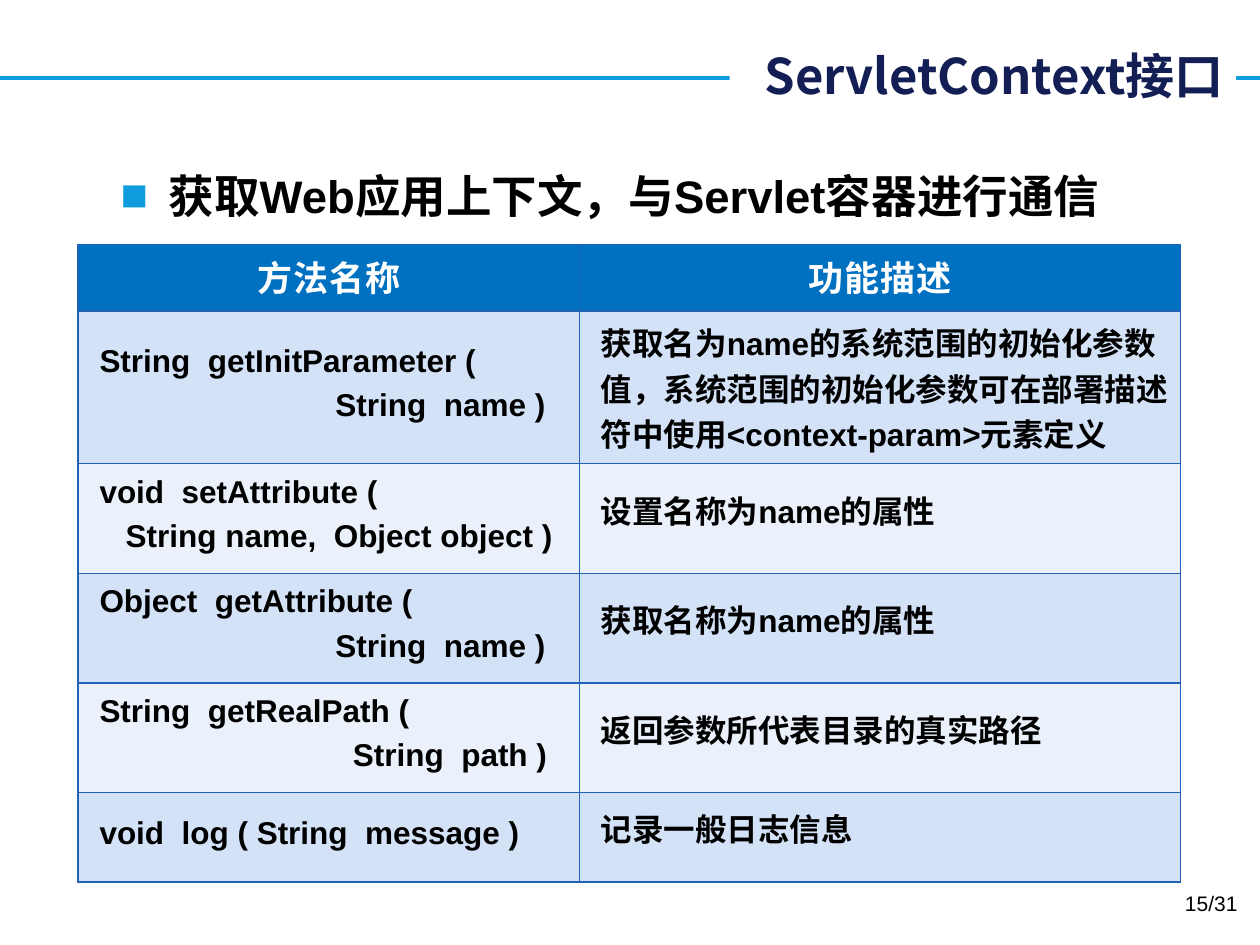
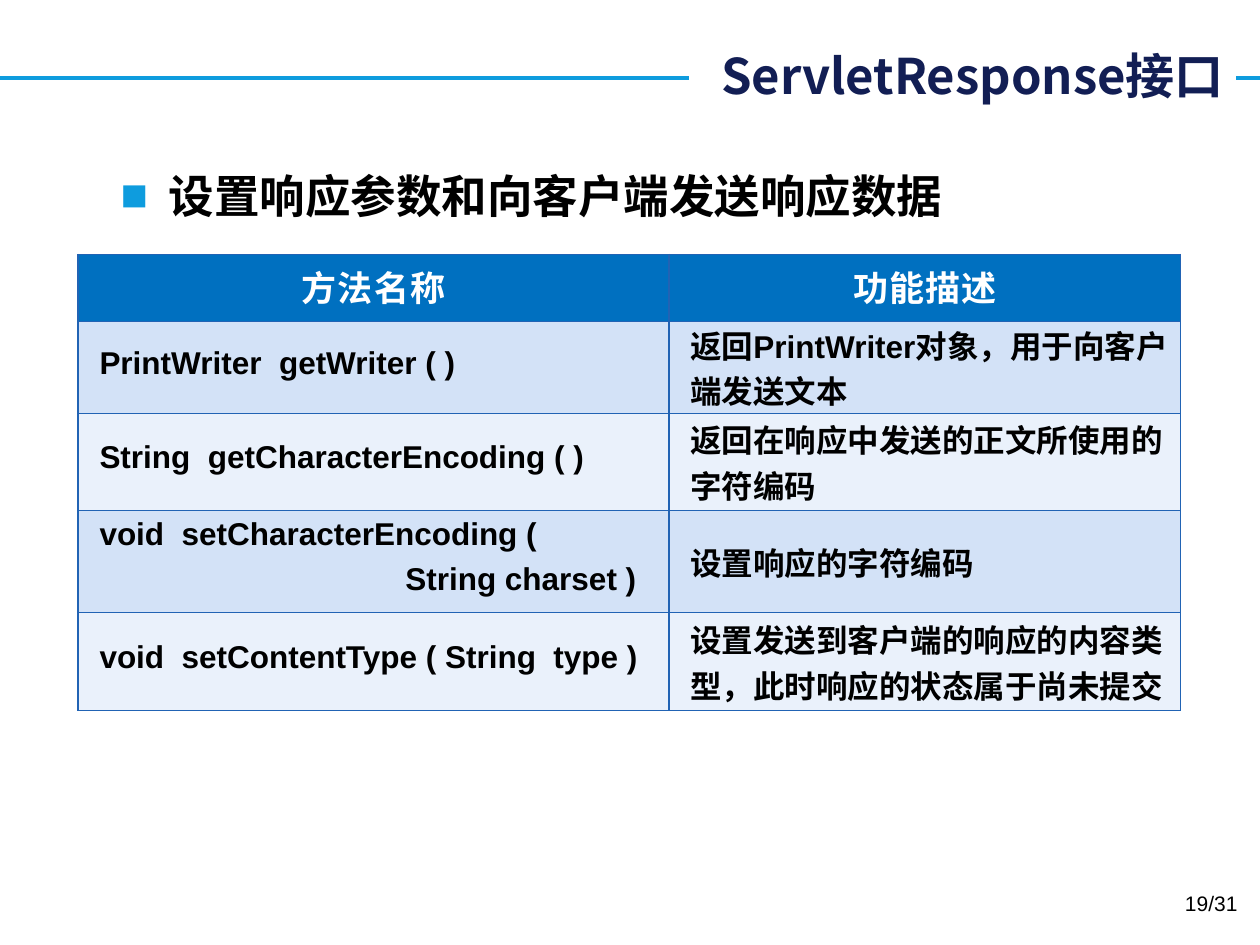
from dataclasses import dataclass
from typing import Any

import lxml.etree
import pptx
import pptx.dml.color
import pptx.enum.shapes
import pptx.enum.text
import pptx.oxml.ns
import pptx.util

SLIDE_WIDTH = pptx.util.Inches(10)
SLIDE_HEIGHT = pptx.util.Inches(7.5)
COLUMN = SLIDE_WIDTH // 100
ROW = SLIDE_HEIGHT // 75
PAGE_TOTAL = 31

COLOURS = {
    "rule": "0E9CDE",
    "title": "121E54",
    "paper": "FFFFFF",
    "ink": "000000",
    "header": "0070C0",
    "odd": "D3E2F7",
    "even": "EAF1FB",
    "border": "2163B4",
}
LATIN = "Arial"
CHINESE = "Noto Sans CJK SC"
ALIGN = pptx.enum.text.PP_ALIGN
ANCHOR = pptx.enum.text.MSO_ANCHOR


@dataclass(frozen=True)
class TextStyle:
    size: float
    colour: str
    font: str = LATIN
    bold: bool = True
    tracking: int = 0


@dataclass(frozen=True)
class Area:
    left: float
    top: float
    width: float
    height: float

    def box(self) -> tuple[int, int, int, int]:
        return (round(self.left * COLUMN), round(self.top * ROW),
                round(self.width * COLUMN), round(self.height * ROW))


@dataclass(frozen=True)
class Method:
    signature: tuple[str, ...]
    description: str
    height: float
    natural_spacing: bool = True


@dataclass(frozen=True)
class InterfacePage:
    title: str
    title_width: float
    purpose: str
    table_top: float
    column_widths: tuple[float, float]
    methods: tuple[Method, ...]
    number: int


TITLE = TextStyle(28, "title", CHINESE)
PURPOSE = TextStyle(26, "ink")
HEADER = TextStyle(20, "paper", CHINESE, tracking=60)
ENTRY = TextStyle(18, "ink")
PAGE_NUMBER = TextStyle(12, "ink", bold=False)

TITLE_RIGHT = 98.1
TABLE_LEFT = 6.2
HEADER_HEIGHT = 5.3
HEADINGS = ("方法名称", "功能描述")

HEADER_CELL = {
    "margin_left": pptx.util.Inches(0.09),
    "margin_right": pptx.util.Inches(0.09),
    "margin_top": pptx.util.Inches(0.05),
    "margin_bottom": pptx.util.Inches(0.05),
    "vertical_anchor": ANCHOR.TOP,
}
ENTRY_CELL = {
    "margin_left": pptx.util.Inches(0.17),
    "margin_right": pptx.util.Inches(0.07),
    "margin_top": 0,
    "margin_bottom": 0,
    "vertical_anchor": ANCHOR.MIDDLE,
}
CODE_SPACING = {"line_spacing": pptx.util.Pt(15.6)}
ENTRY_GAP = pptx.util.Pt(5)

PAGES = (
    InterfacePage(
        "ServletContext接口", 40.2, "获取Web应用上下文，与Servlet容器进行通信",
        19.4, (39.8, 47.7),
        (
            Method(("String  getInitParameter (",
                    "                           String  name )"),
                   "获取名为name的系统范围的初始化参数值，系统范围的初始化参数可在部署描述符中使用"
                   "<context-param>元素定义", 12.1),
            Method(("void  setAttribute (", "   String name,  Object object )"),
                   "设置名称为name的属性", 8.7, False),
            Method(("Object  getAttribute (",
                    "                           String  name )"),
                   "获取名称为name的属性", 8.7, False),
            Method(("String  getRealPath (",
                    "                             String  path )"),
                   "返回参数所代表目录的真实路径", 8.7, False),
            Method(("void  log ( String  message )",), "记录一般日志信息", 7.1, False),
        ),
        15,
    ),
    InterfacePage(
        "ServletResponse接口", 43.4, "设置响应参数和向客户端发送响应数据",
        20.2, (46.9, 40.6),
        (
            Method(("PrintWriter  getWriter ( )",),
                   "返回PrintWriter对象，用于向客户端发送文本", 7.3),
            Method(("String  getCharacterEncoding ( )",),
                   "返回在响应中发送的正文所使用的字符编码", 7.7),
            Method(("void  setCharacterEncoding (",
                    "                                   String charset )"),
                   "设置响应的字符编码", 8.1),
            Method(("void  setContentType ( String  type )",),
                   "设置发送到客户端的响应的内容类型，此时响应的状态属于尚未提交", 7.8),
        ),
        19,
    ),
)


def apply(target: Any, formats: dict[str, Any]) -> None:
    for attribute, value in formats.items():
        setattr(target, attribute, value)


def rgb(colour: str) -> pptx.dml.color.RGBColor:
    return pptx.dml.color.RGBColor.from_string(COLOURS[colour])


def add_element(parent: Any, tag: str, **attributes: str) -> Any:
    return lxml.etree.SubElement(parent, pptx.oxml.ns.qn(tag), attributes)


def write(paragraph: Any, words: str, style: TextStyle,
          formats: dict[str, Any]) -> None:
    apply(paragraph, formats)
    run = paragraph.add_run()
    run.text = words
    apply(run.font, {"size": pptx.util.Pt(style.size), "name": style.font,
                     "bold": style.bold})
    run.font.color.rgb = rgb(style.colour)
    properties = run._r.get_or_add_rPr()
    properties.set("spc", str(style.tracking))
    add_element(properties, "a:ea", typeface=CHINESE)


def add_rule(slide: Any) -> None:
    height = round(6.2 * ROW)
    rule = slide.shapes.add_connector(
        pptx.enum.shapes.MSO_CONNECTOR.STRAIGHT, 0, height, SLIDE_WIDTH, height)
    rule.line.color.rgb = rgb("rule")
    rule.line.width = pptx.util.Pt(2.25)
    add_element(rule._element.spPr, "a:effectLst")


def add_title(slide: Any, page: InterfacePage) -> None:
    area = Area(TITLE_RIGHT - page.title_width, 3.1, page.title_width, 5.7)
    title = slide.shapes.add_shape(
        pptx.enum.shapes.MSO_SHAPE.RECTANGLE, *area.box())
    title.shadow.inherit = False
    title.fill.solid()
    title.fill.fore_color.rgb = rgb("paper")
    title.line.fill.background()
    apply(title.text_frame, {"word_wrap": False, "vertical_anchor": ANCHOR.MIDDLE})
    write(title.text_frame.paragraphs[0], page.title, TITLE,
          {"alignment": ALIGN.RIGHT})


def add_purpose(slide: Any, words: str) -> None:
    purpose = slide.shapes.add_textbox(*Area(8.6, 13.3, 83.6, 56.2).box()).text_frame
    apply(purpose, {"word_wrap": True, "margin_top": 0})
    paragraph = purpose.paragraphs[0]
    properties = paragraph._p.get_or_add_pPr()
    indent = pptx.util.Inches(0.38)
    properties.set("marL", str(indent))
    properties.set("indent", str(-indent))
    bullet_colour = add_element(properties, "a:buClr")
    add_element(bullet_colour, "a:srgbClr", val=COLOURS["rule"])
    add_element(properties, "a:buFont", typeface=LATIN)
    add_element(properties, "a:buChar", char="■")
    write(paragraph, words, PURPOSE, {})


def paint_cell(cell: Any, fill: str, formats: dict[str, Any]) -> None:
    apply(cell, formats)
    properties = cell._tc.get_or_add_tcPr()
    for side in ("L", "R", "T", "B"):
        border = add_element(properties, f"a:ln{side}", w=str(pptx.util.Pt(1)))
        solid = add_element(border, "a:solidFill")
        add_element(solid, "a:srgbClr", val=COLOURS["border"])
    cell.fill.solid()
    cell.fill.fore_color.rgb = rgb(fill)


def write_entry(cell: Any, lines: tuple[str, ...], spacing: dict[str, Any]) -> None:
    for index, words in enumerate(lines):
        paragraph = cell.text_frame.add_paragraph() if index else \
            cell.text_frame.paragraphs[0]
        gaps = {"space_before": ENTRY_GAP if index else 0,
                "space_after": ENTRY_GAP if index < len(lines) - 1 else 0}
        write(paragraph, words, ENTRY, spacing | gaps)


def add_method_table(slide: Any, page: InterfacePage) -> None:
    heights = (HEADER_HEIGHT, *(method.height for method in page.methods))
    area = Area(TABLE_LEFT, page.table_top, sum(page.column_widths), sum(heights))
    table = slide.shapes.add_table(len(heights), len(HEADINGS), *area.box()).table
    for column, width in zip(table.columns, page.column_widths):
        column.width = round(width * COLUMN)
    for row, height in zip(table.rows, heights):
        row.height = round(height * ROW)
    for index, heading in enumerate(HEADINGS):
        cell = table.cell(0, index)
        paint_cell(cell, "header", HEADER_CELL)
        write(cell.text_frame.paragraphs[0], heading, HEADER,
              {"alignment": ALIGN.CENTER})
    for index, method in enumerate(page.methods, start=1):
        signature, description = table.cell(index, 0), table.cell(index, 1)
        for cell in (signature, description):
            paint_cell(cell, "odd" if index % 2 else "even", ENTRY_CELL)
        write_entry(signature, method.signature, CODE_SPACING)
        write_entry(description, (method.description,),
                    {} if method.natural_spacing else CODE_SPACING)


def add_page_number(slide: Any, number: int) -> None:
    footer = slide.shapes.add_textbox(*Area(75.9, 70.2, 23.3, 4).box()).text_frame
    footer.word_wrap = True
    write(footer.paragraphs[0], f"{number}/{PAGE_TOTAL}", PAGE_NUMBER,
          {"alignment": ALIGN.RIGHT})


def add_interface_page(deck: Any, page: InterfacePage) -> None:
    slide = deck.slides.add_slide(deck.slide_layouts[6])
    add_rule(slide)
    add_title(slide, page)
    add_purpose(slide, page.purpose)
    add_method_table(slide, page)
    add_page_number(slide, page.number)


def main() -> None:
    deck = pptx.Presentation()
    apply(deck, {"slide_width": SLIDE_WIDTH, "slide_height": SLIDE_HEIGHT})
    for page in PAGES:
        add_interface_page(deck, page)
    deck.save("out.pptx")


if __name__ == "__main__":
    main()
